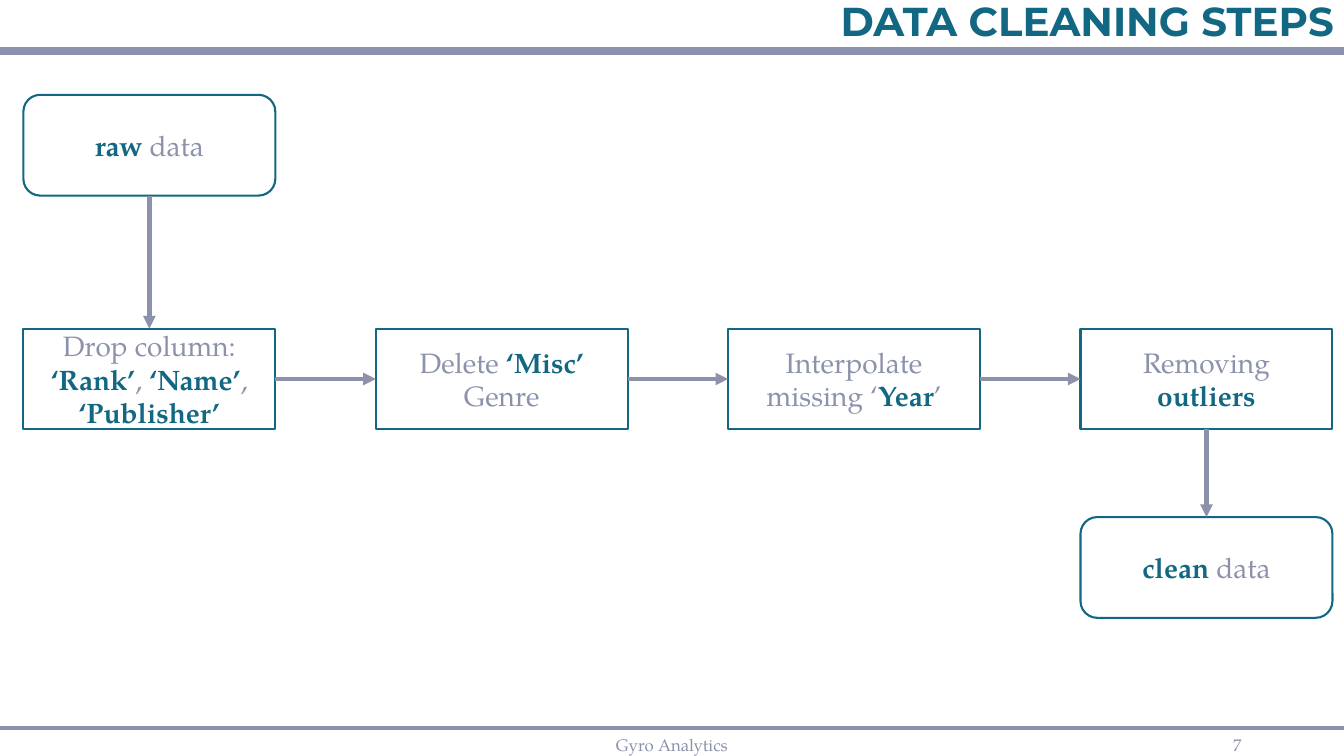
from pptx import Presentation
from pptx.dml.color import RGBColor
from pptx.enum.shapes import MSO_CONNECTOR, MSO_SHAPE
from pptx.enum.text import MSO_ANCHOR, MSO_AUTO_SIZE, PP_ALIGN
from pptx.oxml.ns import qn
from pptx.util import Cm, Pt
from lxml import etree

STRAIGHT = MSO_CONNECTOR.STRAIGHT
RECTANGLE, ROUNDED = MSO_SHAPE.RECTANGLE, MSO_SHAPE.ROUNDED_RECTANGLE
MIDDLE, NO_FIT = MSO_ANCHOR.MIDDLE, MSO_AUTO_SIZE.NONE
CENTER, RIGHT = PP_ALIGN.CENTER, PP_ALIGN.RIGHT

TEAL, GREY = "126782", "8C92AC"
TITLE_FONT, BODY_FONT = "Montserrat", "TeX Gyre Pagella"
PAGE_WIDTH, PAGE_HEIGHT = 33.87, 19.05
BOX_WIDTH, BOX_HEIGHT = 6.35, 2.54
BOX_LEFT, BOX_PITCH = 0.59, 8.88
RAW_TOP, STEP_TOP, CLEAN_TOP = 2.39, 8.28, 13.03
# Connection sites of a rectangle
TOP_SITE, LEFT_SITE, BOTTOM_SITE, RIGHT_SITE = range(4)

# Each step is a list of (text, emphasised) spans
STEPS = [
    [("Drop column: ", False), ("‘Rank’", True), (",", False),
     (" ‘Name’", True), (",", False), (" ‘Publisher’", True)],
    [("Delete ", False), ("‘Misc’ ", True), ("Genre", False)],
    [("Interpolate missing ‘", False), ("Year", True), ("’", False)],
    [("Removing ", False), ("outliers", True)],
]


def rgb(color):
    return RGBColor.from_string(color)


def format_span(span, size, color, bold=False, font=BODY_FONT):
    span.font.name = font
    span.font.size = Pt(size)
    span.font.bold = bold
    span.font.color.rgb = rgb(color)


def add_title(page, text):
    title = page.shapes.title
    title.left, title.top = Cm(0), Cm(0)
    title.width, title.height = Cm(PAGE_WIDTH), Cm(1.17)
    frame = title.text_frame
    frame.text = text
    frame.auto_size = NO_FIT
    frame.vertical_anchor = MIDDLE
    para = frame.paragraphs[0]
    para.alignment = RIGHT
    para.line_spacing = 0.9
    format_span(para.runs[0], 28.8, TEAL, True, TITLE_FONT)


def add_footer_text(page, text, left, width, alignment):
    box = page.shapes.add_textbox(Cm(left), Cm(18.49), Cm(width), Cm(0.56))
    frame = box.text_frame
    frame.word_wrap = True
    frame.vertical_anchor = MIDDLE
    frame.text = text
    para = frame.paragraphs[0]
    para.alignment = alignment
    format_span(para.runs[0], 12, GREY)


def add_box(page, kind, column, top, spans):
    box = page.shapes.add_shape(kind, Cm(BOX_LEFT + column * BOX_PITCH), Cm(top),
                                Cm(BOX_WIDTH), Cm(BOX_HEIGHT))
    box.shadow.inherit = False
    box.fill.background()
    box.line.color.rgb = rgb(TEAL)
    box.line.width = Pt(1.5)
    frame = box.text_frame
    frame.word_wrap = True
    frame.vertical_anchor = MIDDLE
    para = frame.paragraphs[0]
    para.alignment = CENTER
    for text, emphasised in spans:
        span = para.add_run()
        span.text = text
        format_span(span, 20, TEAL if emphasised else GREY, emphasised)
    return box


def add_line(page, top, weight):
    line = page.shapes.add_connector(STRAIGHT, Cm(0), Cm(top), Cm(PAGE_WIDTH), Cm(top))
    line.line.color.rgb = rgb(GREY)
    line.line.width = Pt(weight)
    etree.SubElement(line._element.spPr, qn("a:effectLst"))
    return line


def add_arrow(page, start, start_site, end, end_site):
    arrow = add_line(page, 0, 3)
    arrow.begin_connect(start, start_site)
    arrow.end_connect(end, end_site)
    etree.SubElement(arrow.line._get_or_add_ln(), qn("a:tailEnd"), type="triangle")


def main():
    deck = Presentation()
    deck.slide_width, deck.slide_height = Cm(PAGE_WIDTH), Cm(PAGE_HEIGHT)
    page = deck.slides.add_slide(deck.slide_layouts[5])

    # Header and footer
    add_line(page, 1.29, 6)
    add_line(page, 18.34, 3)
    add_title(page, "DATA CLEANING STEPS")
    add_footer_text(page, "Gyro Analytics", 11.22, 11.43, CENTER)
    add_footer_text(page, "7", 23.92, 7.62, RIGHT)

    # Boxes of the flow
    raw = add_box(page, ROUNDED, 0, RAW_TOP, [("raw", True), (" data", False)])
    steps = [add_box(page, RECTANGLE, column, STEP_TOP, spans)
             for column, spans in enumerate(STEPS)]
    clean = add_box(page, ROUNDED, len(STEPS) - 1, CLEAN_TOP,
                    [("clean", True), (" data", False)])

    # Arrows between the boxes
    add_arrow(page, raw, BOTTOM_SITE, steps[0], TOP_SITE)
    for step, following in zip(steps, steps[1:]):
        add_arrow(page, step, RIGHT_SITE, following, LEFT_SITE)
    add_arrow(page, steps[-1], BOTTOM_SITE, clean, TOP_SITE)

    deck.save("out.pptx")


if __name__ == "__main__":
    main()
